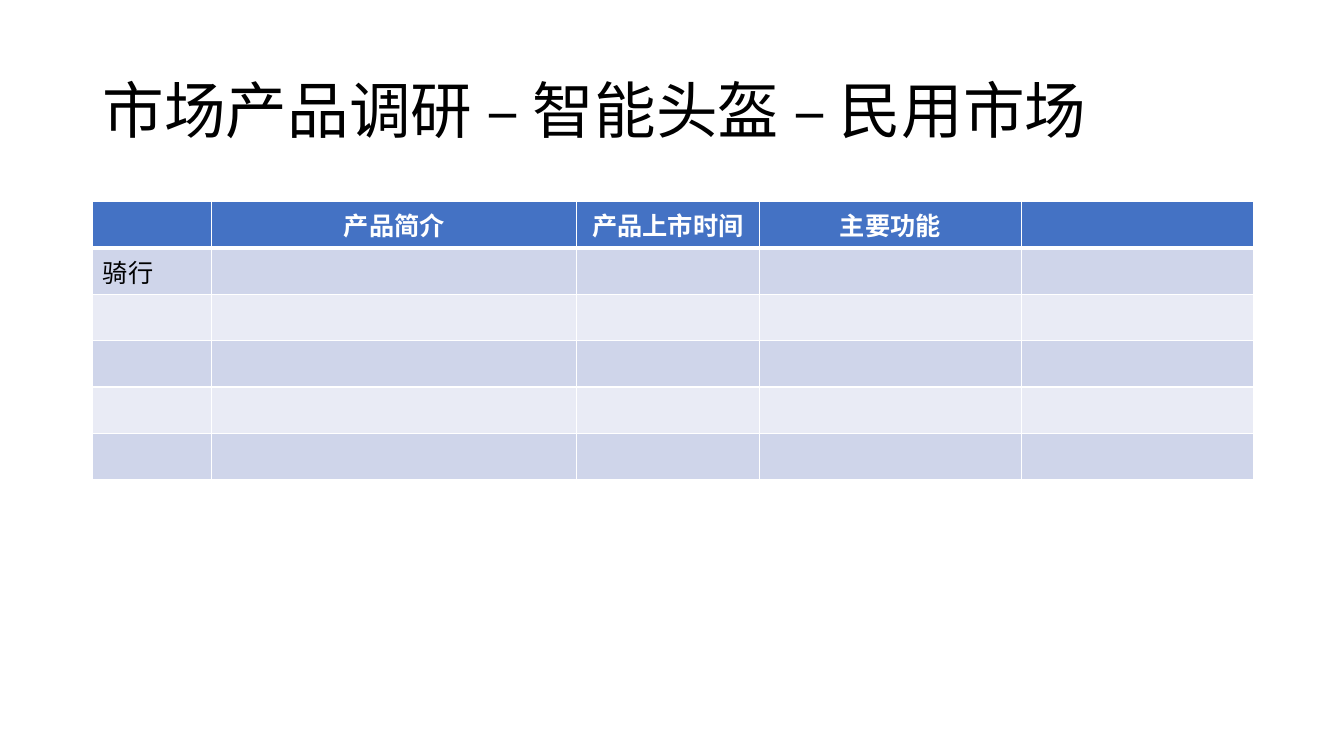
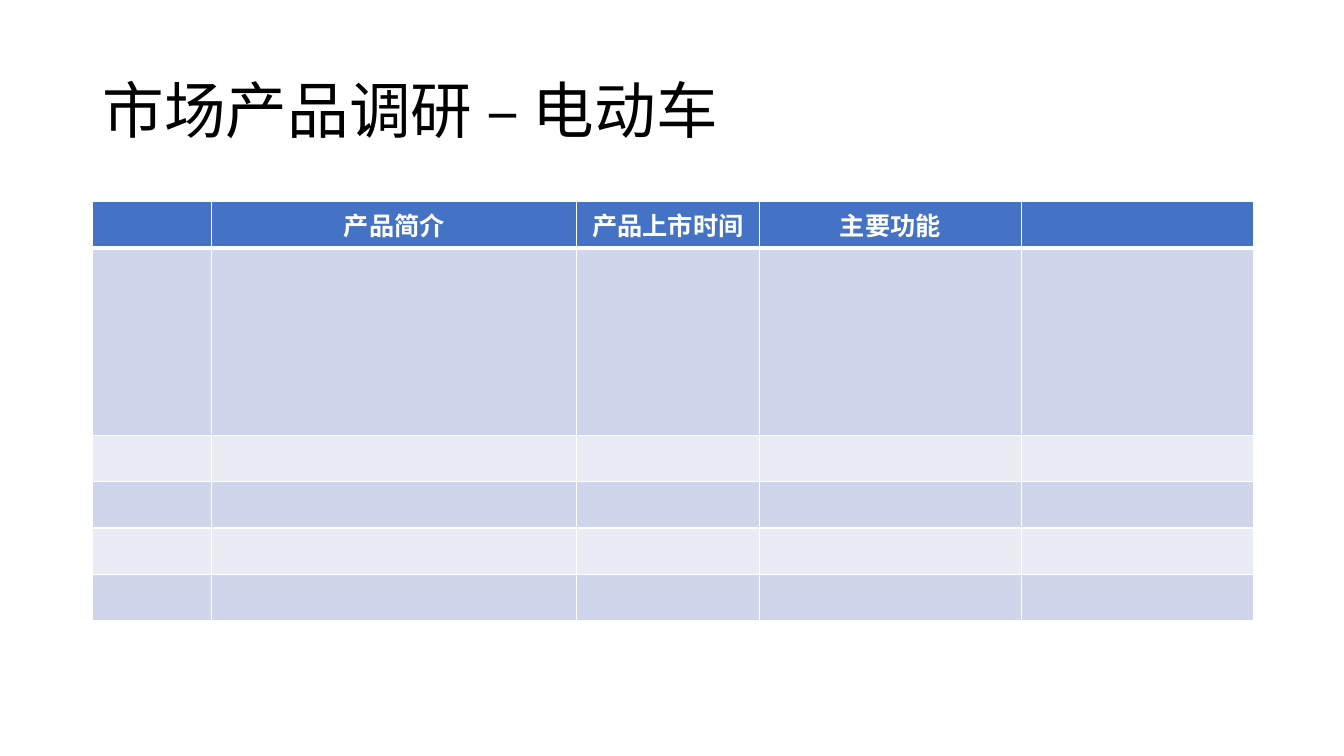
from dataclasses import dataclass, field

from lxml.etree import SubElement
from pptx import Presentation
from pptx.dml.color import RGBColor
from pptx.enum.text import MSO_ANCHOR, PP_ALIGN
from pptx.oxml.ns import qn
from pptx.presentation import Presentation as Deck
from pptx.slide import Slide
from pptx.table import _Cell
from pptx.text.text import _Paragraph
from pptx.util import Inches, Pt

SLIDE_WIDTH, SLIDE_HEIGHT = 13.33, 7.5
MARGIN = 0.92
CONTENT_WIDTH = 11.5
TITLE_TOP, TITLE_HEIGHT = 0.4, 1.45
TABLE_TOP = 2.0
ROW_HEIGHT = 0.46
COLUMN_WIDTHS = (1.18, 3.62, 1.81, 2.6, 2.3)
HEADINGS = ("", "产品简介", "产品上市时间", "主要功能", "")
BODY_ROWS = 5

FONT = "Noto Sans CJK SC"
BLACK, WHITE = "000000", "FFFFFF"
HEADER_FILL = "4472C4"
BAND_FILLS = ("CFD5EA", "E9EBF5")
GRID_LINE, HEADER_RULE = 1, 3


@dataclass(frozen=True)
class Survey:
    subject: str
    categories: tuple[str, ...] = ()
    row_spans: dict[int, float] = field(default_factory=dict)


SURVEYS = (
    Survey("智能头盔 – 民用市场", categories=("骑行",)),
    Survey("电动车", row_spans={1: 4.04}),
)


def color(hex_code: str) -> RGBColor:
    return RGBColor.from_string(hex_code)


def add_run(paragraph: _Paragraph, text: str, size: float, hex_code: str,
            bold: bool = False) -> None:
    run = paragraph.add_run()
    run.text = text
    run.font.name = FONT
    run.font.size = Pt(size)
    run.font.bold = bold
    run.font.color.rgb = color(hex_code)
    SubElement(run.font._element, qn("a:ea"), typeface=FONT)


def add_title(slide: Slide, text: str) -> None:
    box = slide.shapes.add_textbox(Inches(MARGIN), Inches(TITLE_TOP),
                                   Inches(CONTENT_WIDTH), Inches(TITLE_HEIGHT))
    frame = box.text_frame
    frame.word_wrap = True
    frame.vertical_anchor = MSO_ANCHOR.MIDDLE
    paragraph = frame.paragraphs[0]
    paragraph.line_spacing = 0.9
    add_run(paragraph, text, 44, BLACK)


def set_borders(cell: _Cell, top: float, bottom: float) -> None:
    properties = cell._tc.get_or_add_tcPr()
    sides = {"lnL": GRID_LINE, "lnR": GRID_LINE, "lnT": top, "lnB": bottom}
    for side, width in sides.items():
        line = SubElement(properties, qn(f"a:{side}"), w=str(Pt(width)))
        SubElement(SubElement(line, qn("a:solidFill")), qn("a:srgbClr"), val=WHITE)


def style_cell(cell: _Cell, row: int) -> None:
    """Give a cell its band colour and borders, with a heavy rule below the header."""
    set_borders(cell,
                top=HEADER_RULE if row == 1 else GRID_LINE,
                bottom=HEADER_RULE if row == 0 else GRID_LINE)
    cell.fill.solid()
    band = HEADER_FILL if row == 0 else BAND_FILLS[(row - 1) % len(BAND_FILLS)]
    cell.fill.fore_color.rgb = color(band)


def add_survey_table(slide: Slide, survey: Survey) -> None:
    heights = [ROW_HEIGHT * survey.row_spans.get(row, 1) for row in range(BODY_ROWS + 1)]
    table = slide.shapes.add_table(
        len(heights), len(COLUMN_WIDTHS), Inches(MARGIN), Inches(TABLE_TOP),
        Inches(CONTENT_WIDTH), Inches(sum(heights))).table
    for column, width in zip(table.columns, COLUMN_WIDTHS):
        column.width = Inches(width)
    for index, (row, height) in enumerate(zip(table.rows, heights)):
        row.height = Inches(height)
        for cell in row.cells:
            style_cell(cell, index)
    for column, heading in enumerate(HEADINGS):
        if heading:
            paragraph = table.cell(0, column).text_frame.paragraphs[0]
            paragraph.alignment = PP_ALIGN.CENTER
            add_run(paragraph, heading, 18, WHITE, bold=True)
    for row_number, category in enumerate(survey.categories, start=1):
        add_run(table.cell(row_number, 0).text_frame.paragraphs[0], category, 18, BLACK)


def add_survey_slide(deck: Deck, survey: Survey) -> None:
    slide = deck.slides.add_slide(deck.slide_layouts[6])
    slide.background.fill.solid()
    slide.background.fill.fore_color.rgb = color(WHITE)
    add_title(slide, f"市场产品调研 – {survey.subject}")
    add_survey_table(slide, survey)


def main() -> None:
    deck = Presentation()
    deck.slide_width = Inches(SLIDE_WIDTH)
    deck.slide_height = Inches(SLIDE_HEIGHT)
    for survey in SURVEYS:
        add_survey_slide(deck, survey)
    deck.save("out.pptx")


if __name__ == "__main__":
    main()
